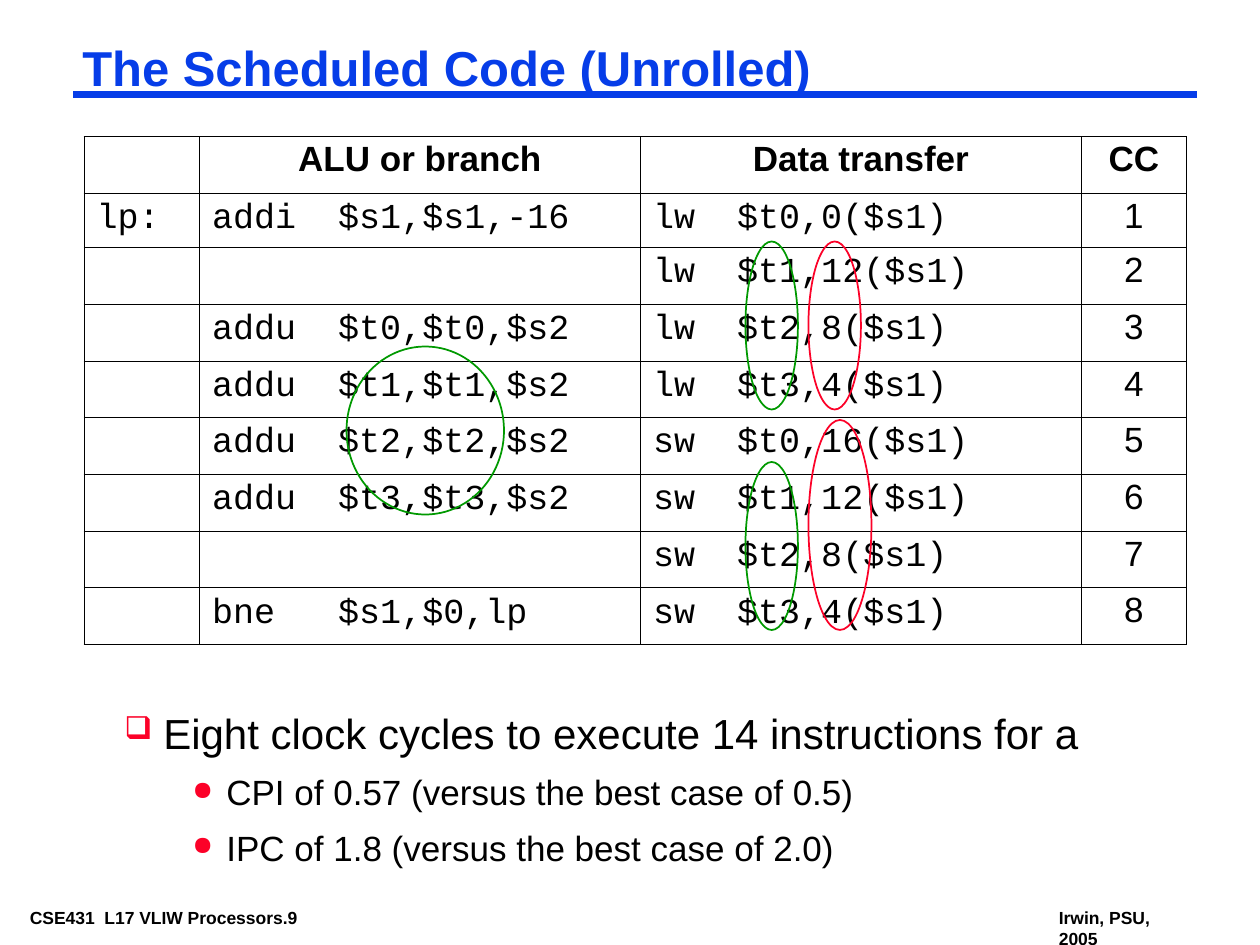
"""Build the slide on the scheduled, unrolled loop."""
from typing import NamedTuple

from lxml.etree import SubElement
from pptx import Presentation
from pptx.dml.color import RGBColor
from pptx.enum.shapes import MSO_CONNECTOR, MSO_SHAPE
from pptx.enum.text import PP_ALIGN
from pptx.oxml.ns import qn
from pptx.util import Inches, Pt

BLUE = RGBColor(0x06, 0x3D, 0xE8)
RED = RGBColor(0xFC, 0x01, 0x28)
GREEN = RGBColor(0x00, 0x99, 0x00)
BLACK = RGBColor(0x00, 0x00, 0x00)
WHITE = RGBColor(0xFF, 0xFF, 0xFF)
SANS, MONO = "Arial", "Courier New"
WIDE, HIGH = Inches(10), Inches(7.5)
COLS, ROWS = 120, 90


class Box(NamedTuple):
    """Place on the grid: column, row, columns wide, rows high."""
    col: float
    row: float
    wide: float
    high: float


class Font(NamedTuple):
    """Look of a run."""
    size: float
    color: RGBColor = BLACK
    bold: bool = False
    name: str = SANS


class Ring(NamedTuple):
    """Outline around a group of operands."""
    box: Box
    color: RGBColor


class Point(NamedTuple):
    """Bulleted line, with its indents in inches."""
    text: str
    level: int
    size: float
    left: float
    hang: float
    gap: float
    mark: str


class Step(NamedTuple):
    """Table row: label, ALU or branch, data transfer, clock cycle."""
    label: str
    alu: str
    data: str
    cycle: str


HEAD = Step("", "ALU or branch", "Data transfer", "CC")
CODE = [
    ("lp:", "addi  $s1,$s1,-16", "lw  $t0,0($s1)"),
    ("", "", "lw  $t1,12($s1)"),
    ("", "addu  $t0,$t0,$s2", "lw  $t2,8($s1)"),
    ("", "addu  $t1,$t1,$s2", "lw  $t3,4($s1)"),
    ("", "addu  $t2,$t2,$s2", "sw  $t0,16($s1)"),
    ("", "addu  $t3,$t3,$s2", "sw  $t1,12($s1)"),
    ("", "", "sw  $t2,8($s1)"),
    ("", "bne   $s1,$0,lp", "sw  $t3,4($s1)"),
]
STEPS = [HEAD] + [Step(*ops, str(num)) for num, ops in enumerate(CODE, 1)]
SPANS = (11, 42, 42, 10)
POINTS = [
    Point("Eight clock cycles to execute 14 instructions for a", 0, 24, 0.31, 0.31, 9, "❑"),
    Point("CPI of 0.57 (versus the best case of 0.5)", 1, 20, 0.81, 0.27, 7.5, "●"),
    Point("IPC of 1.8 (versus the best case of 2.0)", 1, 20, 0.81, 0.27, 7.5, "●"),
]
RINGS = [
    Ring(Box(77, 23, 5, 16), RED),
    Ring(Box(71, 23, 5, 16), GREEN),
    Ring(Box(71, 44, 5, 16), GREEN),
    Ring(Box(77, 40, 6, 20), RED),
    Ring(Box(33, 33, 15, 16), GREEN),
]


def across(cols: float) -> int:
    """Return the length of some grid columns."""
    return round(WIDE * cols / COLS)


def down(rows: float) -> int:
    """Return the length of some grid rows."""
    return round(HIGH * rows / ROWS)


def place(box: Box) -> tuple[int, int, int, int]:
    """Return left, top, width and height of a box."""
    return across(box.col), down(box.row), across(box.wide), down(box.high)


def style(para, font: Font) -> None:
    """Format the runs of a paragraph."""
    for run in para.runs:
        run.font.size = Pt(font.size)
        run.font.name = font.name
        run.font.bold = font.bold
        run.font.color.rgb = font.color


def add_text(slide, box: Box, text: str, font: Font, wrap: bool = True):
    """Add a text box and return its frame."""
    frame = slide.shapes.add_textbox(*place(box)).text_frame
    frame.word_wrap = wrap
    frame.margin_left = frame.margin_right = Inches(0.07)
    frame.margin_top = frame.margin_bottom = Inches(0.03)
    frame.text = text
    style(frame.paragraphs[0], font)
    return frame


def add_rule(slide, col: float, row: float, wide: float) -> None:
    """Draw the rule under the title."""
    rule = slide.shapes.add_connector(
        MSO_CONNECTOR.STRAIGHT, across(col), down(row), across(col + wide), down(row))
    rule.line.color.rgb = BLUE
    rule.line.width = Pt(4.5)
    SubElement(rule._element.spPr, qn("a:effectLst"))


def add_points(slide, box: Box, points: list[Point]) -> None:
    """Write the bulleted lines."""
    frame = add_text(slide, box, "\n".join(item.text for item in points), Font(24))
    for para, item in zip(frame.paragraphs, points):
        style(para, Font(item.size))
        para.level = item.level
        para.space_before = Pt(item.gap)
        props = para._p.get_or_add_pPr()
        props.set("marL", str(Inches(item.left)))
        props.set("indent", str(-Inches(item.hang)))
        tint = SubElement(props, qn("a:buClr"))
        SubElement(tint, qn("a:srgbClr"), val=str(RED))
        SubElement(props, qn("a:buSzPct"), val="75000")
        SubElement(props, qn("a:buChar"), char=item.mark)


def add_edge(cell, side: str, width: float) -> None:
    """Draw one border of a cell."""
    edge = SubElement(cell._tc.get_or_add_tcPr(), qn(f"a:ln{side}"), w=str(Pt(width)))
    fill = SubElement(edge, qn("a:solidFill"))
    SubElement(fill, qn("a:srgbClr"), val=str(BLACK))


def add_code(slide, box: Box, steps: list[Step]) -> None:
    """Draw the table of the schedule."""
    last, end = len(steps) - 1, len(SPANS) - 1
    table = slide.shapes.add_table(len(steps), len(SPANS), *place(box)).table
    table.first_row = table.horz_banding = False
    for col, span in zip(table.columns, SPANS):
        col.width = across(span)
    for row, step in enumerate(steps):
        table.rows[row].height = Inches(0.43 if row == 1 else 0.45)
        for col, text in enumerate(step):
            cell = table.cell(row, col)
            outer = {"L": col == 0, "R": col == end, "T": row == 0, "B": row == last}
            for side, rim in outer.items():
                add_edge(cell, side, 0.5 if rim else 0.23)
            cell.fill.background()
            cell.text = text
            plain = row == 0 or col == end
            para = cell.text_frame.paragraphs[0]
            para.alignment = PP_ALIGN.CENTER if plain else PP_ALIGN.LEFT
            para.line_spacing = 0.93 if plain else 0.94
            para.space_before = Pt(7.5)
            style(para, Font(20, bold=row == 0, name=SANS if plain else MONO))


def add_ring(slide, ring: Ring) -> None:
    """Draw an unfilled ellipse."""
    shape = slide.shapes.add_shape(MSO_SHAPE.OVAL, *place(ring.box))
    shape.shadow.inherit = False
    shape.fill.background()
    shape.line.color.rgb = ring.color
    shape.line.width = Pt(1)


def main() -> None:
    """Build and save the slide."""
    deck = Presentation()
    deck.slide_width, deck.slide_height = WIDE, HIGH
    slide = deck.slides.add_slide(deck.slide_layouts[6])
    slide.background.fill.solid()
    slide.background.fill.fore_color.rgb = WHITE
    foot = Font(10, bold=True)
    add_text(slide, Box(2, 86, 34.2, 2.6), "CSE431  L17 VLIW Processors.9", foot, wrap=False)
    add_text(slide, Box(100, 86, 14.5, 2.6), "Irwin, PSU, 2005", foot, wrap=False)
    add_rule(slide, 7, 9, 107)
    title = add_text(slide, Box(7, 4, 107, 5.5), "The Scheduled Code (Unrolled)", Font(28, BLUE, True))
    title.paragraphs[0].line_spacing = 0.87
    add_points(slide, Box(11, 67, 101, 16), POINTS)
    add_code(slide, Box(8, 13, sum(SPANS), 47), STEPS)
    for ring in RINGS:
        add_ring(slide, ring)
    deck.save("out.pptx")


if __name__ == "__main__":
    main()
